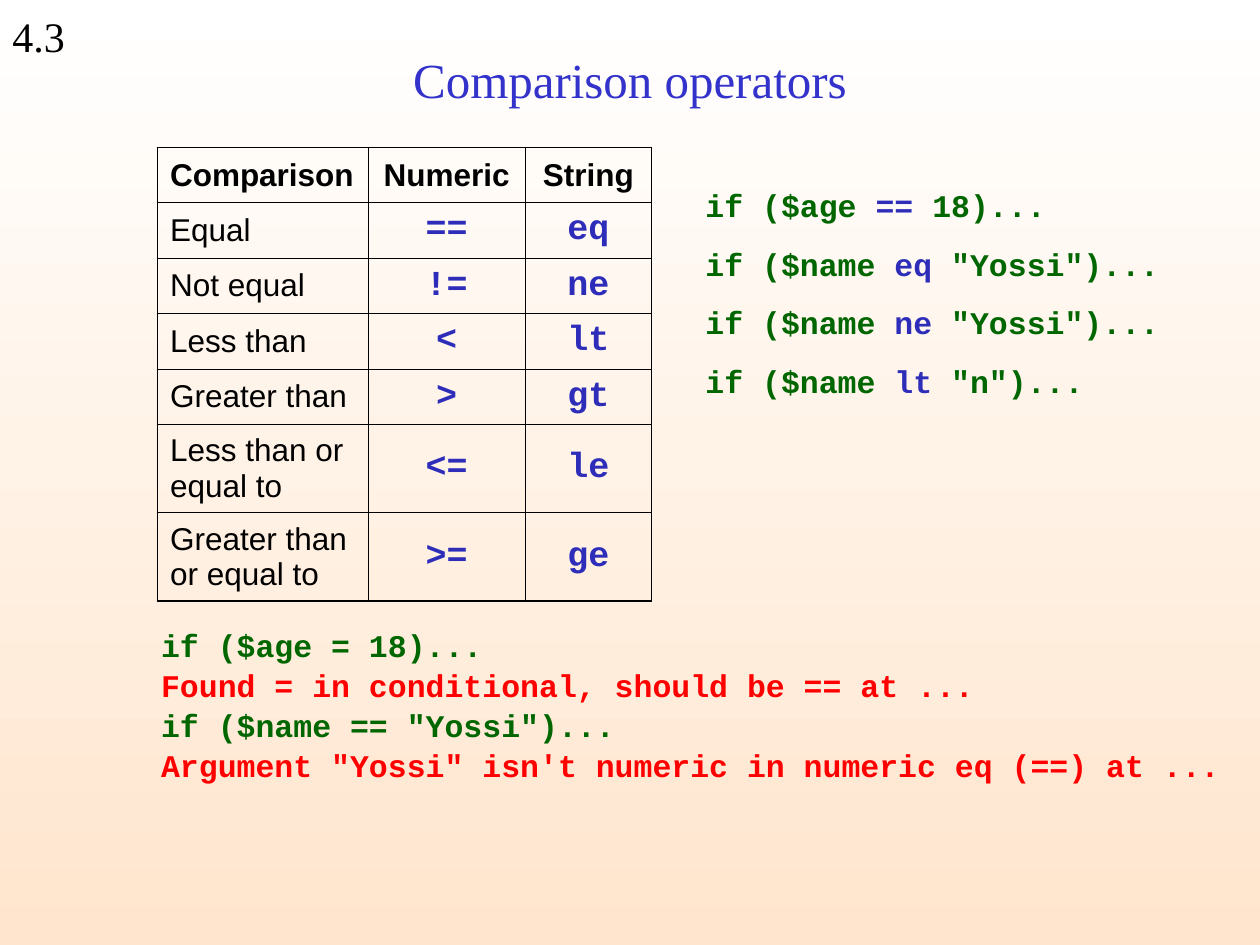
"""Build a slide on comparison operators with a table and code samples."""
from lxml import etree
from pptx import Presentation
from pptx.dml.color import RGBColor
from pptx.enum.text import MSO_ANCHOR, PP_ALIGN
from pptx.oxml.ns import qn
from pptx.util import Inches, Pt

CENTER, LEFT = PP_ALIGN.CENTER, PP_ALIGN.LEFT
MIDDLE = MSO_ANCHOR.MIDDLE
TITLE_ONLY = 5
SANS, MONO, SERIF = "Arial", "Courier New", "Times New Roman"
COLORS = {
    "text": "000000",
    "title": "3333CC",
    "operator": "2D2DB9",
    "code": "006600",
    "error": "FF0000",
    "bg_top": "FFFFFF",
    "bg_bottom": "FFE5CD",
}
THIN, THICK = 0.45, 1.08
COL_WIDTHS = [1.67, 1.25, 1]
ROW_HEIGHTS = [0.44] * 5 + [0.7] * 2
OPERATORS = [
    ("Comparison", "Numeric", "String"),
    ("Equal", "==", "eq"),
    ("Not equal", "!=", "ne"),
    ("Less than", "<", "lt"),
    ("Greater than", ">", "gt"),
    ("Less than or equal to", "<=", "le"),
    ("Greater than or equal to", ">=", "ge"),
]
EXAMPLES = [
    [("if ($age ", "code"), ("==", "operator"), (" 18)...", "code")],
    [("if ($name ", "code"), ("eq", "operator"), (' "Yossi")...', "code")],
    [("if ($name ", "code"), ("ne", "operator"), (' "Yossi")...', "code")],
    [("if ($name ", "code"), ("lt", "operator"), (' "n")...', "code")],
]
MISTAKES = [
    [("if ($age = 18)...", "code")],
    [("Found = in conditional, should be == at ...", "error")],
    [('if ($name == "Yossi")...', "code")],
    [('Argument "Yossi" isn\'t numeric in numeric eq (==) at ...', "error")],
]


def rgb(name):
    """Return the named colour."""
    return RGBColor.from_string(COLORS[name])


def style(p, font, size, color=None, bold=False, align=LEFT):
    """Format a whole paragraph."""
    p.alignment = align
    p.font.name, p.font.size, p.font.bold = font, Pt(size), bold
    if color:
        p.font.color.rgb = rgb(color)


def set_background(slide):
    """Fill the background with a vertical gradient."""
    fill = slide.background.fill
    fill.gradient()
    fill.gradient_angle = 270
    for stop, name in zip(fill.gradient_stops, ("bg_top", "bg_bottom")):
        stop.color.rgb = rgb(name)


def set_title(slide, text):
    """Place and format the title."""
    sp = slide.shapes.title
    sp.left, sp.top = Inches(0.75), Inches(0.17)
    sp.width, sp.height = Inches(8.5), Inches(0.92)
    tf = sp.text_frame
    tf.text = text
    tf.vertical_anchor = MIDDLE
    style(tf.paragraphs[0], SERIF, 28, "title", align=CENTER)


def add_text(slide, box, lines, font, size, bold=False, before=0, spacing=1):
    """Add a text box whose lines are lists of (text, colour) runs."""
    tf = slide.shapes.add_textbox(*map(Inches, box)).text_frame
    tf.word_wrap = True
    for i, line in enumerate(lines):
        p = tf.add_paragraph() if i else tf.paragraphs[0]
        style(p, font, size, bold=bold)
        p.space_before, p.line_spacing = Pt(before), spacing
        for text, color in line:
            r = p.add_run()
            r.text = text
            r.font.color.rgb = rgb(color)


def set_borders(cell, widths):
    """Draw the left, right, top and bottom borders of a cell."""
    tc_pr = cell._tc.get_or_add_tcPr()
    for i, (side, width) in enumerate(zip("LRTB", widths)):
        ln = etree.Element(qn(f"a:ln{side}"), w=str(int(Pt(width))))
        fill = etree.SubElement(ln, qn("a:solidFill"))
        etree.SubElement(fill, qn("a:srgbClr"), val=COLORS["text"])
        tc_pr.insert(i, ln)


def add_operator_table(slide):
    """Add the table of operators with a thicker outer frame."""
    rows, cols = len(ROW_HEIGHTS), len(COL_WIDTHS)
    box = (1.25, 1.17, sum(COL_WIDTHS), sum(ROW_HEIGHTS))
    table = slide.shapes.add_table(rows, cols, *map(Inches, box)).table
    table.first_row = table.horz_banding = False
    for col, width in zip(table.columns, COL_WIDTHS):
        col.width = Inches(width)
    for r, height in enumerate(ROW_HEIGHTS):
        table.rows[r].height = Inches(height)
        for c, text in enumerate(OPERATORS[r]):
            cell = table.cell(r, c)
            cell.text = text
            cell.vertical_anchor = MIDDLE
            cell.fill.background()
            p = cell.text_frame.paragraphs[0]
            if r and c:
                style(p, MONO, 20, "operator", True, CENTER)
            else:
                style(p, SANS, 18, "text", r == 0, CENTER if c else LEFT)
            outer = (c == 0, c == cols - 1, r == 0, r == rows - 1)
            set_borders(cell, [THICK if edge else THIN for edge in outer])


def main():
    """Build and save the slide."""
    prs = Presentation()
    prs.slide_width, prs.slide_height = Inches(10), Inches(7.5)
    slide = prs.slides.add_slide(prs.slide_layouts[TITLE_ONLY])
    set_background(slide)
    add_text(slide, (0, 0, 1.3, 0.5), [[("4.3", "text")]], SERIF, 24, spacing=1.08)
    set_title(slide, "Comparison operators")
    add_operator_table(slide)
    add_text(slide, (5.5, 1.42, 4.25, 2.18), EXAMPLES, MONO, 18, True, 11.2, 1.03)
    add_text(slide, (1.18, 4.9, 8.78, 1.6), MISTAKES, MONO, 18, True, spacing=1.06)
    prs.save("out.pptx")


if __name__ == "__main__":
    main()
